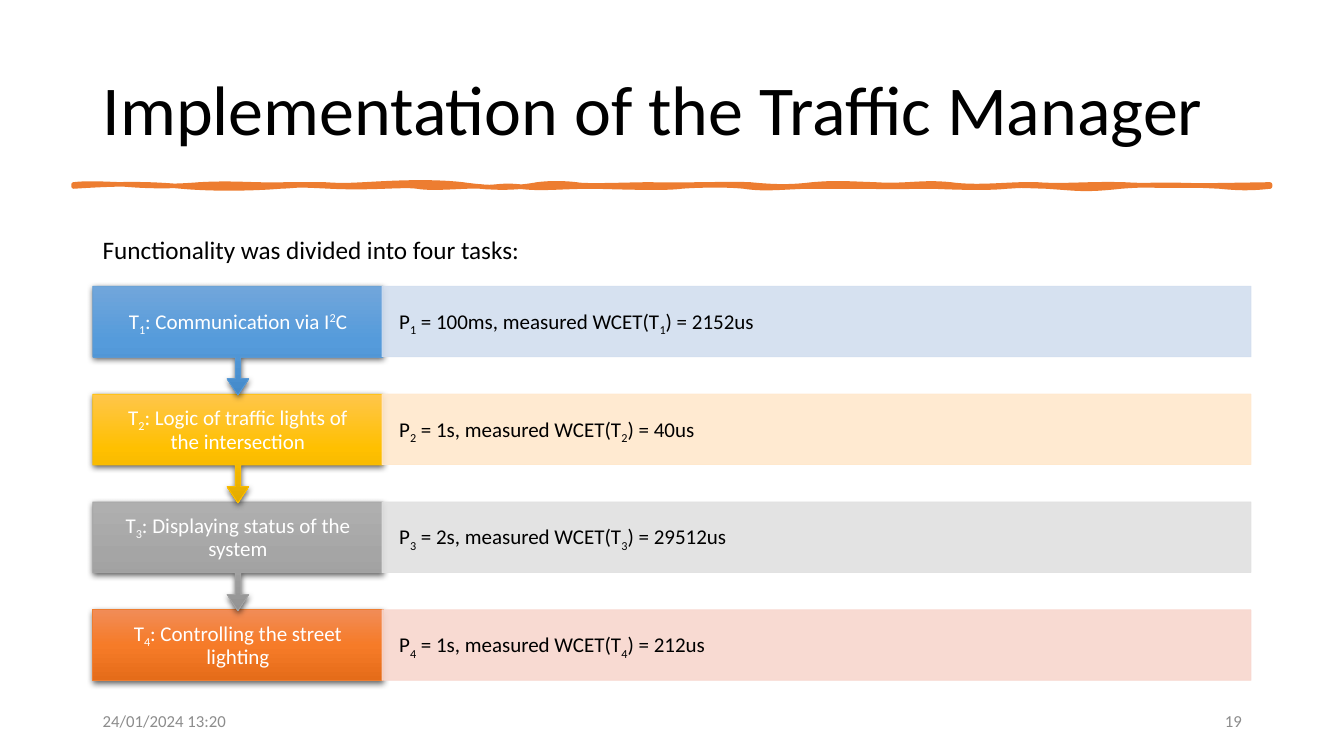
from copy import deepcopy

from lxml import etree
from pptx import Presentation
from pptx.dml.color import RGBColor
from pptx.enum.shapes import MSO_SHAPE
from pptx.enum.text import MSO_ANCHOR, PP_ALIGN
from pptx.oxml.ns import qn
from pptx.util import Inches, Pt

RECT, CALLOUT = MSO_SHAPE.RECTANGLE, MSO_SHAPE.UP_ARROW_CALLOUT
LEFT, CENTER, RIGHT = PP_ALIGN.LEFT, PP_ALIGN.CENTER, PP_ALIGN.RIGHT
TOP, MIDDLE = MSO_ANCHOR.TOP, MSO_ANCHOR.MIDDLE

BLACK = RGBColor(0x00, 0x00, 0x00)
WHITE = RGBColor(0xFF, 0xFF, 0xFF)
GRAY = RGBColor(0x8C, 0x8C, 0x8C)
ORANGE = RGBColor(0xED, 0x7D, 0x31)

# text, box, format
TEXTS = [
    ("Implementation of the Traffic Manager", (0.92, 0.39, 11.5, 1.45),
     dict(size=50, color=BLACK, spacing=0.9)),
    ("24/01/2024 13:20", (0.92, 6.95, 3, 0.4), dict(size=12, color=GRAY)),
    ("19", (9.42, 6.95, 3, 0.4), dict(size=12, color=GRAY, align=RIGHT)),
    ("Functionality was divided into four tasks:", (0.92, 2.28, 4.38, 0.71),
     dict(size=18, color=BLACK, anchor=TOP, wrap=False)),
]

# task name as (text, baseline) runs, period, WCET, gradient, line, band colour
TASKS = [
    ([(": Communication via I", 0), ("2", 30), ("C", 0)], "100ms", "2152us",
     ("71A6DB", "559BDB", "448ACA"), "5B9BD5", "D2DEEF"),
    ([(": Logic of traffic lights of the intersection", 0)], "1s", "40us",
     ("FFC64B", "FFC000", "E3AB00"), "FFC000", "FFE8CC"),
    ([(": Displaying status of the system", 0)], "2s", "29512us",
     ("AFAFAF", "A5A5A5", "939393"), "A5A5A5", "E1E1E1"),
    ([(": Controlling the street lighting", 0)], "1s", "212us",
     ("F18C57", "F67B28", "E56C19"), "ED7D31", "F8D7CE"),
]
TASK_X, TASK_W, BAND_X, BAND_W = 0.92, 2.88, 3.79, 8.62
TASK_Y, PITCH, BOX_H, CALLOUT_H = 2.84, 1.07, 0.7, 1.08
CALLOUT_ADJ = (0.05, 0.1, 0.15, 0.65)

# Brush stroke: each edge is a chain of curves (x1, y1, x2, y2, end x)
RULE_LEFT, RULE_RIGHT, RULE_TOP, RULE_BOTTOM = 0.73, 12.6, 1.83, 1.85
TOP_EDGE = [
    (0.89, 1.81, 1.11, 1.83, 1.24), (1.36, 1.84, 1.62, 1.86, 1.98),
    (2.34, 1.81, 2.51, 1.84, 2.84), (3.17, 1.83, 3.07, 1.83, 3.22),
    (3.38, 1.84, 3.42, 1.84, 3.61), (3.8, 1.82, 4.24, 1.79, 4.59),
    (4.94, 1.88, 5.17, 1.86, 5.33), (5.49, 1.81, 5.63, 1.82, 5.72),
    (5.81, 1.85, 6.25, 1.83, 6.46), (6.67, 1.84, 7.23, 1.82, 7.44),
    (7.65, 1.85, 7.82, 1.86, 8.06), (8.3, 1.81, 8.38, 1.82, 8.68),
    (8.99, 1.85, 9.14, 1.8, 9.43), (9.72, 1.87, 10.02, 1.82, 10.29),
    (10.55, 1.85, 10.78, 1.82, 11.15), (11.51, 1.85, 11.99, 1.84, 12.6),
]
BOTTOM_EDGE = [
    (12.42, 1.87, 12.3, 1.87, 12.1), (11.9, 1.84, 11.49, 1.82, 11.12),
    (10.75, 1.89, 10.7, 1.87, 10.38), (10.05, 1.84, 10.18, 1.84, 9.99),
    (9.8, 1.87, 9.48, 1.86, 9.25), (9.02, 1.85, 8.84, 1.86, 8.63),
    (8.41, 1.85, 8.28, 1.85, 8), (7.73, 1.86, 7.57, 1.88, 7.38),
    (7.19, 1.83, 6.88, 1.84, 6.76), (6.63, 1.87, 6.24, 1.86, 5.9),
    (5.55, 1.85, 5.37, 1.88, 5.15), (4.94, 1.83, 4.91, 1.87, 4.77),
    (4.63, 1.84, 4.3, 1.88, 4.14), (3.99, 1.83, 3.71, 1.87, 3.28),
    (2.86, 1.83, 3.03, 1.84, 2.78), (2.53, 1.87, 2.13, 1.88, 1.8),
    (1.47, 1.82, 1.18, 1.82, 0.73),
]


def set_text(sp, runs, size, color, align=LEFT, anchor=MIDDLE, wrap=True,
             spacing=1.0, insets=(0.1, 0.05)):
    """Fill sp with one paragraph of (text, baseline percent) runs."""
    tf = sp.text_frame
    dx, dy = (Inches(v) for v in insets)
    frame = dict(word_wrap=wrap, vertical_anchor=anchor, margin_left=dx,
                 margin_right=dx, margin_top=dy, margin_bottom=dy)
    for name, value in frame.items():
        setattr(tf, name, value)
    p = tf.paragraphs[0]
    p.alignment, p.line_spacing = align, spacing
    for text, baseline in runs:
        r = p.add_run()
        r.text = text
        r.font.name, r.font.size = "Calibri", Pt(size)
        r.font.color.rgb = color
        if baseline:
            r._r.get_or_add_rPr().set("baseline", str(baseline * 1000))


def add_box(shapes, kind, box, line_color):
    sp = shapes.add_shape(kind, *map(Inches, box))
    sp.shadow.inherit = False
    sp.line.color.rgb = line_color
    sp.line.width = Pt(0.5)
    return sp


def set_gradient(sp, colors):
    """Three even stops running from top to bottom of the slide."""
    sp.fill.gradient()
    sp.fill.gradient_angle = 270
    grad = sp._element.spPr.find(qn("a:gradFill"))
    grad.set("rotWithShape", "0")
    stops = grad.find(qn("a:gsLst"))
    stops.append(deepcopy(stops[-1]))
    for i, (stop, color) in enumerate(zip(sp.fill.gradient_stops, colors)):
        stop.position = i / 2
        stop.color.rgb = RGBColor.from_string(color)


def add_shadow(sp):
    effects = sp._element.spPr.find(qn("a:effectLst"))
    shadow = etree.SubElement(effects, qn("a:outerShdw"), blurRad=str(Pt(4.5)),
                              dist=str(Pt(1.5)), dir="5400000", rotWithShape="0")
    color = etree.SubElement(shadow, qn("a:srgbClr"), val="000000")
    etree.SubElement(color, qn("a:alpha"), val="63000")


def add_task(shapes, index):
    name, period, wcet, gradient, line, band = TASKS[index]
    y, number = TASK_Y + index * PITCH, (str(index + 1), -25)
    last = index == len(TASKS) - 1

    sp = add_box(shapes, RECT if last else CALLOUT,
                 (TASK_X, y, TASK_W, BOX_H if last else CALLOUT_H),
                 RGBColor.from_string(line))
    if not last:
        sp.rotation = 180
        for i, value in enumerate(CALLOUT_ADJ):
            sp.adjustments[i] = value
    set_gradient(sp, gradient)
    add_shadow(sp)
    label = shapes.add_textbox(*map(Inches, (TASK_X, y, TASK_W, BOX_H)))
    set_text(label, [("T", 0), number] + name, 15, WHITE, align=CENTER,
             spacing=0.9, insets=(0.2, 0.12))

    band_color = RGBColor.from_string(band)
    sp = add_box(shapes, RECT, (BAND_X, y, BAND_W, BOX_H), band_color)
    sp.fill.solid()
    sp.fill.fore_color.rgb = band_color
    for color in sp._element.spPr.iter(qn("a:srgbClr")):
        etree.SubElement(color, qn("a:alpha"), val="90000")
    runs = [("P", 0), number, (f" = {period}, measured WCET(T", 0), number,
            (f") = {wcet}", 0)]
    set_text(sp, runs, 15, BLACK, spacing=0.9, insets=(0.17, 0.21))


def add_brush_rule(shapes):
    """Draw straight segments between curve ends, then bend each one."""
    segments = [(c, RULE_TOP) for c in TOP_EDGE]
    segments.append((None, RULE_BOTTOM))
    segments += [(c, RULE_BOTTOM) for c in BOTTOM_EDGE]
    builder = shapes.build_freeform(Inches(RULE_LEFT), Inches(RULE_TOP))
    builder.add_line_segments([(Inches(c[4] if c else RULE_RIGHT), Inches(y))
                               for c, y in segments], close=True)
    sp = builder.convert_to_shape()
    lines = list(sp._element.iter(qn("a:lnTo")))
    for (curve, _), line in zip(segments, lines):
        if curve is None:
            continue
        line.tag = qn("a:cubicBezTo")
        x1, y1, x2, y2, _ = curve
        for i, (x, y) in enumerate(((x1, y1), (x2, y2))):
            pt = etree.Element(qn("a:pt"), x=str(Inches(x) - sp.left),
                               y=str(Inches(y) - sp.top))
            line.insert(i, pt)
    sp.shadow.inherit = False
    sp.fill.solid()
    sp.fill.fore_color.rgb = sp.line.color.rgb = ORANGE
    sp.line.width = Pt(3.25)


def main():
    prs = Presentation()
    prs.slide_width, prs.slide_height = Inches(40 / 3), Inches(7.5)
    shapes = prs.slides.add_slide(prs.slide_layouts[6]).shapes
    for text, box, style in TEXTS:
        set_text(shapes.add_textbox(*map(Inches, box)), [(text, 0)], **style)
    add_brush_rule(shapes)
    for index in reversed(range(len(TASKS))):
        add_task(shapes, index)
    prs.save("out.pptx")


if __name__ == "__main__":
    main()
